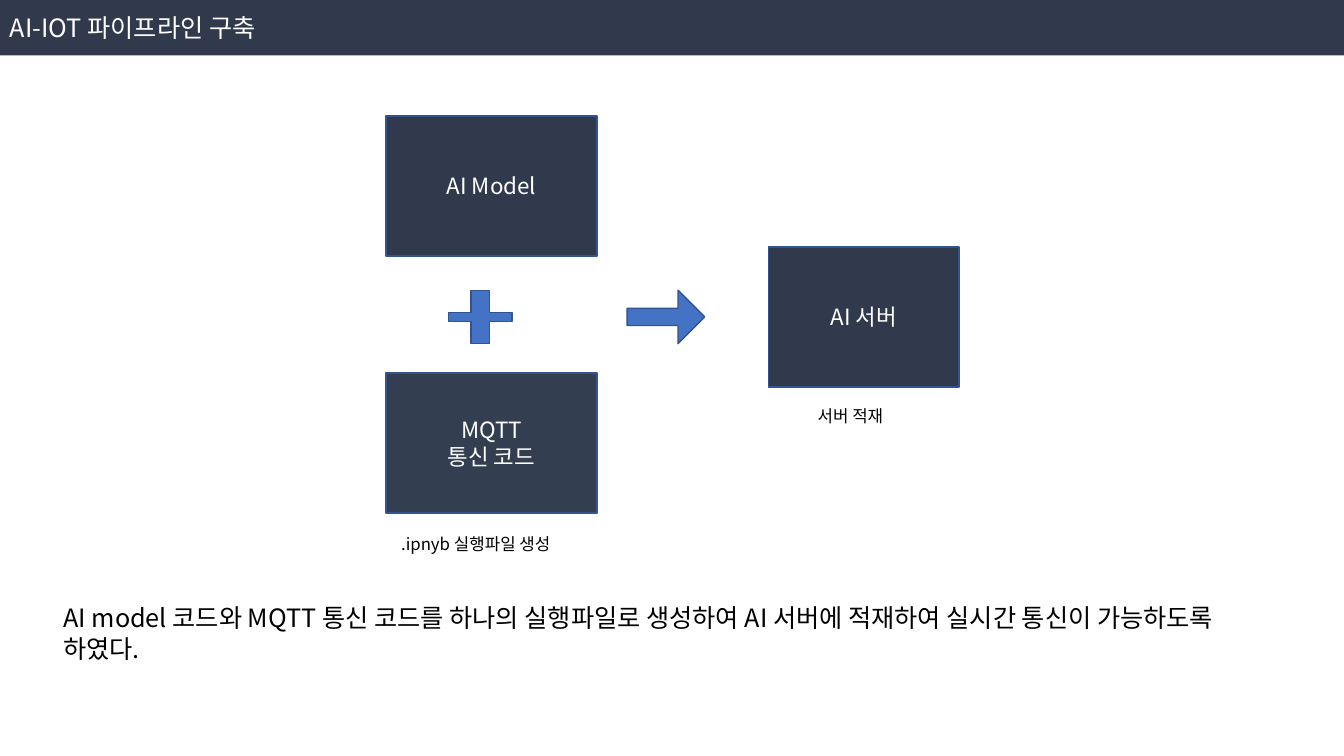
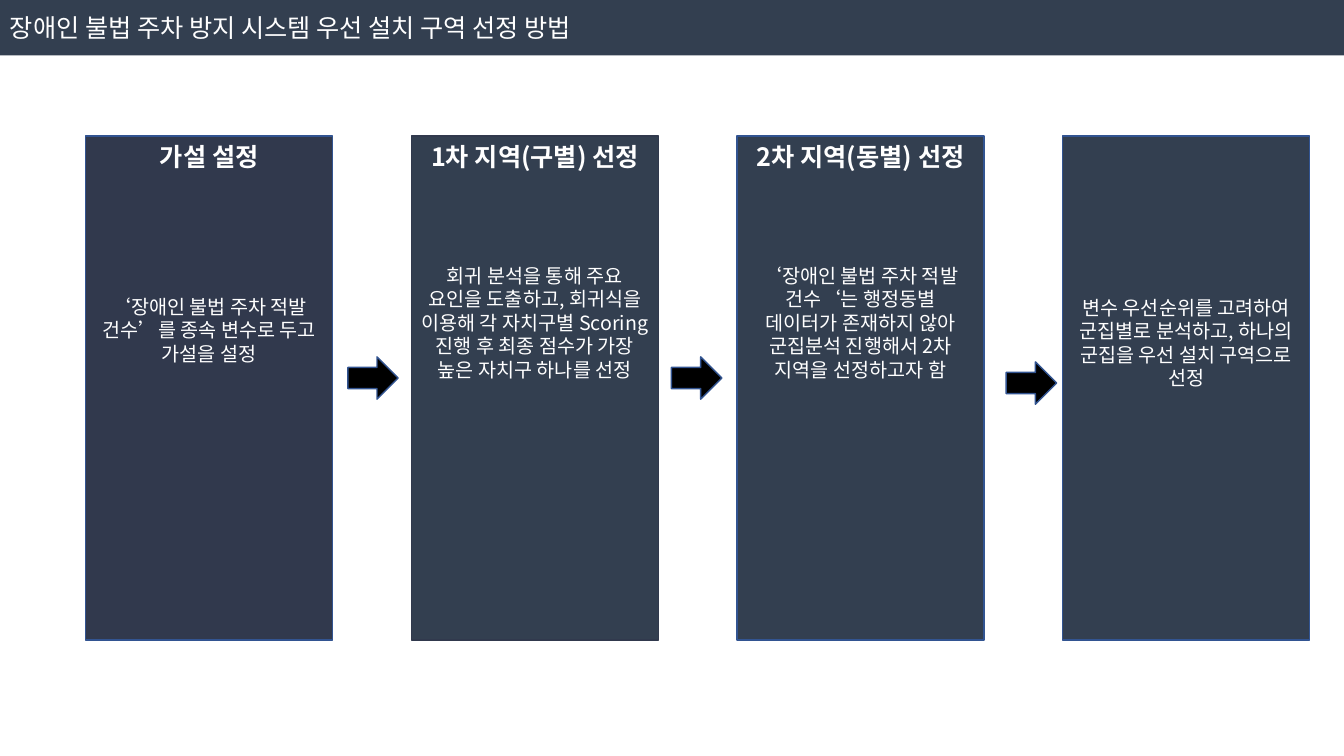
import pptx
import pptx.util
import pptx.dml.color
import pptx.enum.shapes
import pptx.enum.text
import pptx.oxml
import pptx.oxml.ns
from lxml import etree

Inches = pptx.util.Inches
Pt = pptx.util.Pt
KIND = pptx.enum.shapes.MSO_SHAPE
ALIGN = pptx.enum.text.PP_ALIGN
ANCHOR = pptx.enum.text.MSO_ANCHOR

FONT = "Noto Sans CJK KR"
HUES = {
    "navy": "31394D",
    "slate": "333F50",
    "edge": "325491",
    "blue": "4472C4",
    "black": "000000",
    "white": "FFFFFF",
}
WIDE, HIGH = 13.33, 7.5


def hue(name):
    return pptx.dml.color.RGBColor.from_string(HUES[name])


def style(para, size, color, align, bold=False):
    para.alignment = align
    font = para.font
    font.size = Pt(size)
    font.bold = bold
    font.color.rgb = hue(color)
    font.name = FONT
    props = para._p.get_or_add_pPr().get_or_add_defRPr()
    etree.SubElement(props, pptx.oxml.ns.qn("a:ea"), typeface=FONT)


def write(frame, lines, size, color, align=ALIGN.CENTER):
    frame.word_wrap = True
    for i, line in enumerate(lines):
        para = frame.paragraphs[0] if i == 0 else frame.add_paragraph()
        para.text = line
        style(para, size, color, align)


def shape(slide, kind, box, fill, edge="edge"):
    item = slide.shapes.add_shape(kind, *map(Inches, box))
    item.shadow.inherit = False
    item.fill.solid()
    item.fill.fore_color.rgb = hue(fill)
    if edge:
        item.line.color.rgb = hue(edge)
        item.line.width = Pt(1)
    else:
        item.line.fill.background()
    return item


def block(slide, box, fill, *lines):
    item = shape(slide, KIND.RECTANGLE, box, fill)
    item.text_frame.vertical_anchor = ANCHOR.MIDDLE
    write(item.text_frame, lines, 16, "white")


def note(slide, box, text, size, align=ALIGN.LEFT):
    item = slide.shapes.add_textbox(*map(Inches, box))
    write(item.text_frame, [text], size, "black", align)


def arrow(slide, box, fill, shaft=0.5):
    item = shape(slide, KIND.RIGHT_ARROW, box, fill)
    item.adjustments[0] = shaft


def page(deck, title, fill):
    slide = deck.slides.add_slide(deck.slide_layouts[6])
    band = shape(slide, KIND.RECTANGLE, (0, 0, WIDE, 0.55), fill, None)
    band.text_frame.vertical_anchor = ANCHOR.MIDDLE
    write(band.text_frame, [title], 18, "white", ALIGN.LEFT)
    return slide


def merge(slide, left, top):
    wide, high = 2.09, 1.39
    low = top + 2.55
    mid = top + 1.73
    block(slide, (left, top, wide, high), "navy", "AI Model")
    block(slide, (left, low, wide, high), "slate", "MQTT", "통신 코드")
    plus = shape(slide, KIND.CROSS, (left + 0.62, mid, 0.63, 0.53), "blue")
    plus.adjustments[0] = 0.42
    arrow(slide, (left + 2.39, mid, 0.77, 0.53), "blue", 0.32)
    note(slide, (left + 0.05, low + 1.55, 1.89, 0.68), ".ipnyb 실행파일 생성", 12)


def target(slide, left, top):
    block(slide, (left, top, 1.89, 1.39), "navy", "AI 서버")
    note(slide, (left, top + 1.53, 1.63, 0.41), "서버 적재", 12, ALIGN.CENTER)


def card(slide, box, fill, edge, head, body, gap):
    item = shape(slide, KIND.RECTANGLE, box, fill, edge)
    frame = item.text_frame
    frame.vertical_anchor = ANCHOR.TOP
    if head:
        write(frame, [head, body], 14, "white")
        first, last = frame.paragraphs
        first.font.size = Pt(18)
        first.font.bold = True
        last.space_before = Pt(gap)
    else:
        write(frame, [body], 14, "white")
        frame.margin_top = Pt(gap)


def steps(slide, left, top):
    wide, high, pitch = 2.45, 5, 3.23
    cards = [
        ("navy", "edge", "가설 설정",
         "‘장애인 불법 주차 적발 건수’를 종속 변수로 두고 가설을 설정", 88),
        ("slate", "navy", "1차 지역(구별) 선정",
         "회귀 분석을 통해 주요 요인을 도출하고, 회귀식을 이용해 각 자치구별 "
         "Scoring 진행 후 최종 점수가 가장 높은 자치구 하나를 선정", 66),
        ("slate", "edge", "2차 지역(동별) 선정",
         "‘장애인 불법 주차 적발 건수‘는 행정동별 데이터가 존재하지 않아 "
         "군집분석 진행해서 2차 지역을 선정하고자 함", 66),
        ("slate", "edge", None,
         "변수 우선순위를 고려하여 군집별로 분석하고, 하나의 군집을 "
         "우선 설치 구역으로 선정", 114),
    ]
    for i, parts in enumerate(cards):
        card(slide, (left + i * pitch, top, wide, high), *parts)
    for x, y in ((2.6, 2.19), (5.81, 2.19), (9.13, 2.24)):
        arrow(slide, (left + x, top + y, 0.5, 0.42), "black")


def main():
    deck = pptx.Presentation()
    deck.slide_width = Inches(WIDE)
    deck.slide_height = Inches(HIGH)

    slide = page(deck, "AI-IOT 파이프라인 구축", "navy")
    merge(slide, 3.83, 1.15)
    target(slide, 7.62, 2.45)
    note(slide, (0.53, 5.93, 12.16, 0.71),
         "AI model 코드와 MQTT 통신 코드를 하나의 실행파일로 생성하여 "
         "AI 서버에 적재하여 실시간 통신이 가능하도록 하였다.", 18)

    slide = page(deck, "장애인 불법 주차 방지 시스템 우선 설치 구역 선정 방법", "slate")
    steps(slide, 0.85, 1.35)

    deck.save("out.pptx")


if __name__ == "__main__":
    main()
